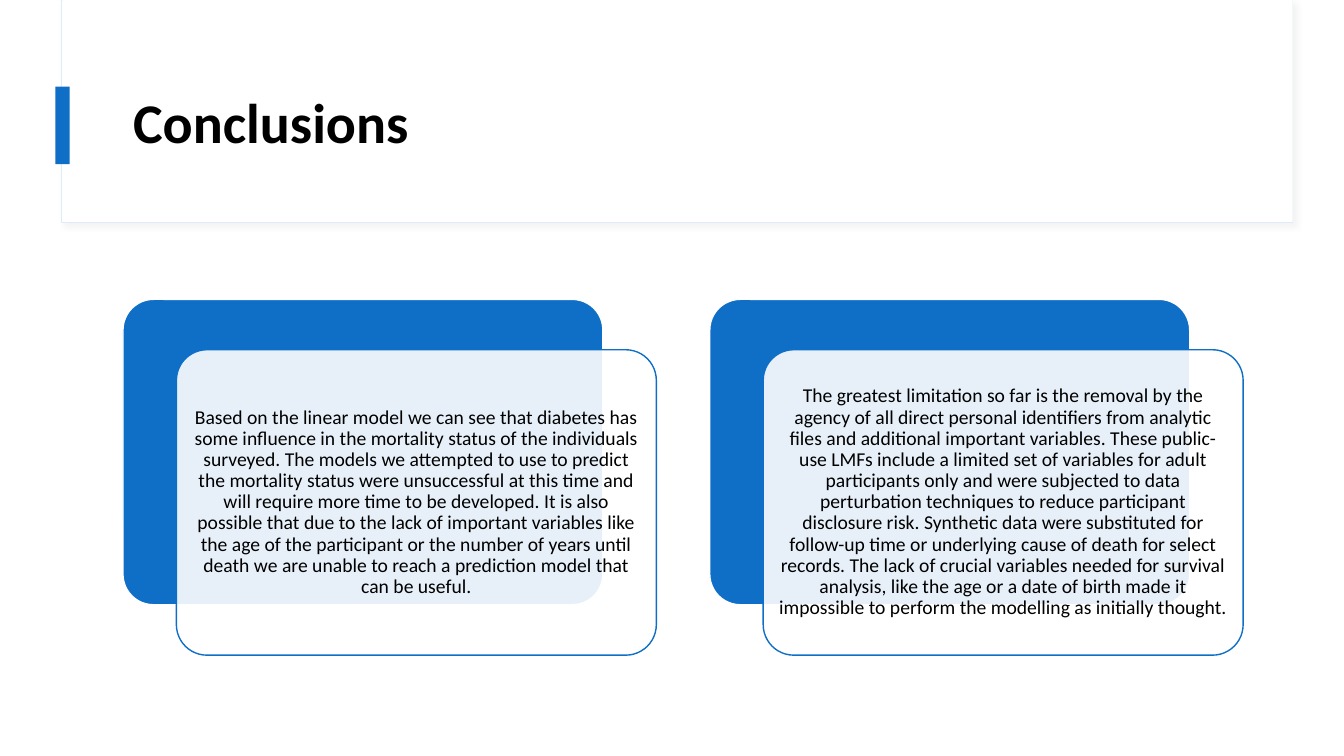
"""Build the Conclusions slide with a header panel and two layered text cards."""
from lxml import etree
from pptx import Presentation
from pptx.dml.color import RGBColor
from pptx.enum.shapes import MSO_SHAPE
from pptx.enum.text import MSO_ANCHOR, MSO_AUTO_SIZE, PP_ALIGN
from pptx.oxml import parse_xml
from pptx.oxml.ns import qn
from pptx.util import Inches, Pt

RECTANGLE = MSO_SHAPE.RECTANGLE
ROUNDED = MSO_SHAPE.ROUNDED_RECTANGLE
MIDDLE = MSO_ANCHOR.MIDDLE
NO_AUTOFIT = MSO_AUTO_SIZE.NONE
LEFT, CENTER = PP_ALIGN.LEFT, PP_ALIGN.CENTER

BLUE, PALE_BLUE, WHITE, BLACK = "0F6FC6", "DFEBF8", "FFFFFF", "000000"
CARD_WIDTH, CARD_HEIGHT = 4.76, 3.03
CARD_LEFT, CARD_TOP, CARD_STEP = 1.22, 2.97, 5.82
FRONT_SHIFT_X, FRONT_SHIFT_Y = 0.53, 0.5

HEADER_SHADOW = (
    '<a:effectLst xmlns:a="http://schemas.openxmlformats.org/drawingml/2006/main">'
    '<a:outerShdw blurRad="50800" dist="38100" dir="2700000" algn="tl" rotWithShape="0">'
    '<a:srgbClr val="D9D9D9"><a:alpha val="30000"/></a:srgbClr>'
    '</a:outerShdw></a:effectLst>'
)

CONCLUSIONS = [
    "Based on the linear model we can see that diabetes has some influence in the "
    "mortality status of the individuals surveyed. The models we attempted to use to "
    "predict the mortality status were unsuccessful at this time and will require more "
    "time to be developed. It is also possible that due to the lack of important "
    "variables like the age of the participant or the number of years until death we "
    "are unable to reach a prediction model that can be useful.",
    "The greatest limitation so far is the removal by the agency of all direct personal "
    "identifiers from analytic files and additional important variables. These "
    "public-use LMFs include a limited set of variables for adult participants only and "
    "were subjected to data perturbation techniques to reduce participant disclosure "
    "risk. Synthetic data were substituted for follow-up time or underlying cause of "
    "death for select records. The lack of crucial variables needed for survival "
    "analysis, like the age or a date of birth made it impossible to perform the "
    "modelling as initially thought.",
]


def add_panel(kind, bounds, fill, line=None, line_width=1):
    """Add a filled shape without shadow; bounds are in inches."""
    panel = slide.shapes.add_shape(kind, *(Inches(length) for length in bounds))
    panel.shadow.inherit = False
    panel.fill.solid()
    panel.fill.fore_color.rgb = RGBColor.from_string(fill)
    if line:
        panel.line.color.rgb = RGBColor.from_string(line)
        panel.line.width = Pt(line_width)
    else:
        panel.line.fill.background()
    if kind == ROUNDED:
        panel.adjustments[0] = 0.1
    return panel


def write_text(box, text, alignment, font_format):
    """Write one middle-anchored paragraph into a shape."""
    frame = box.text_frame
    frame.word_wrap = True
    frame.auto_size = NO_AUTOFIT
    frame.vertical_anchor = MIDDLE
    para = frame.paragraphs[0]
    para.alignment = alignment
    para.line_spacing = 0.9
    span = para.add_run()
    span.text = text
    span.font.color.rgb = RGBColor.from_string(BLACK)
    for name, value in font_format.items():
        setattr(span.font, name, value)


deck = Presentation()
deck.slide_width, deck.slide_height = Inches(13.33), Inches(7.5)
slide = deck.slides.add_slide(deck.slide_layouts[5])

header = add_panel(RECTANGLE, (0.61, 0, 12.21, 2.21), WHITE, PALE_BLUE, 0.75)
header_properties = header._element.spPr
header_properties.replace(
    header_properties.find(qn("a:effectLst")), parse_xml(HEADER_SHADOW)
)
add_panel(RECTANGLE, (0.62, 0, 12.2, 2.2), WHITE)
add_panel(RECTANGLE, (0.55, 0.86, 0.14, 0.77), BLUE)

title = slide.shapes.title
slide.shapes._spTree.append(title._element)
title_bounds = {"left": 1.22, "top": 0.6, "width": 11.12, "height": 1.29}
for name, value in title_bounds.items():
    setattr(title, name, Inches(value))
write_text(title, "Conclusions", LEFT, {"name": "Calibri", "size": Pt(40), "bold": True})

for index, conclusion in enumerate(CONCLUSIONS):
    left = CARD_LEFT + index * CARD_STEP
    add_panel(ROUNDED, (left, CARD_TOP, CARD_WIDTH, CARD_HEIGHT), BLUE, WHITE)
    front_bounds = (left + FRONT_SHIFT_X, CARD_TOP + FRONT_SHIFT_Y, CARD_WIDTH, CARD_HEIGHT)
    card = add_panel(ROUNDED, front_bounds, WHITE, BLUE)
    fill_color = card._element.spPr.find(qn("a:solidFill")).find(qn("a:srgbClr"))
    etree.SubElement(fill_color, qn("a:alpha"), val="90000")
    for side in ("left", "top", "right", "bottom"):
        setattr(card.text_frame, f"margin_{side}", Inches(0.06))
    write_text(card, conclusion, CENTER, {"name": "Calibri", "size": Pt(14)})

deck.save("out.pptx")
